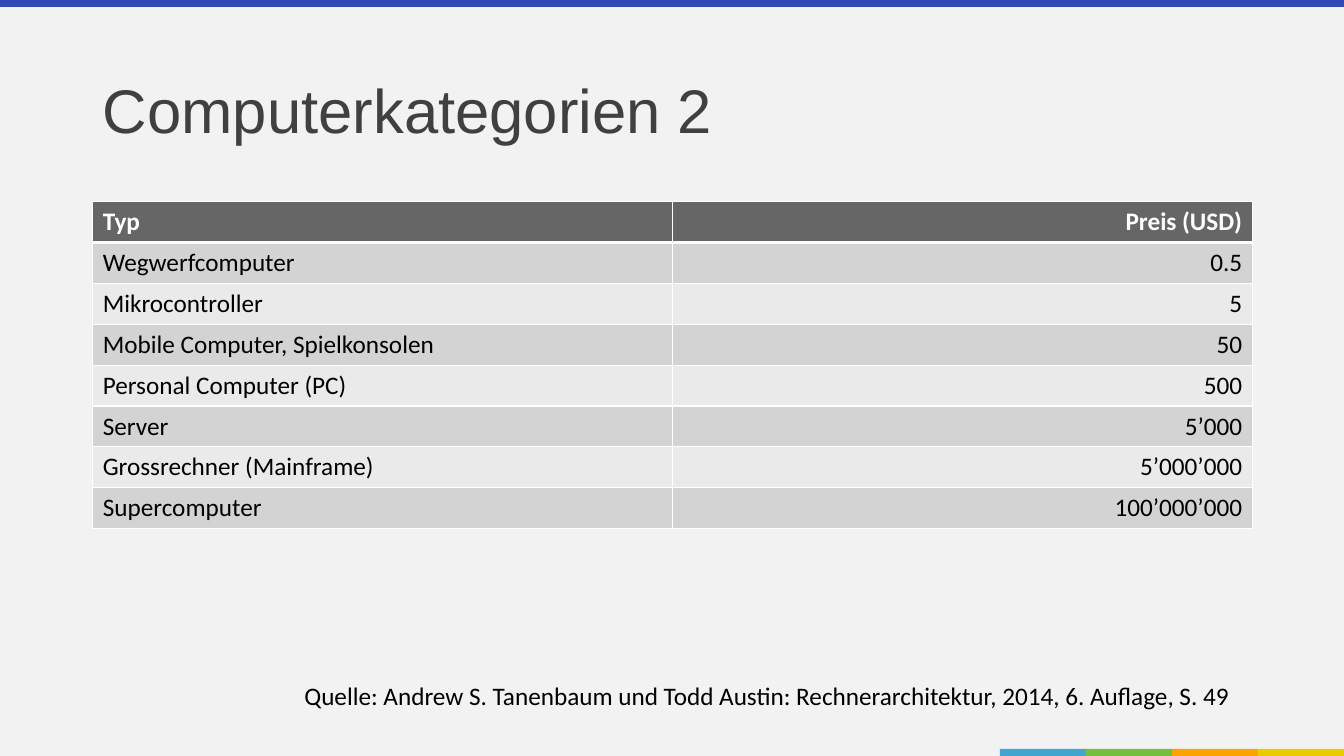
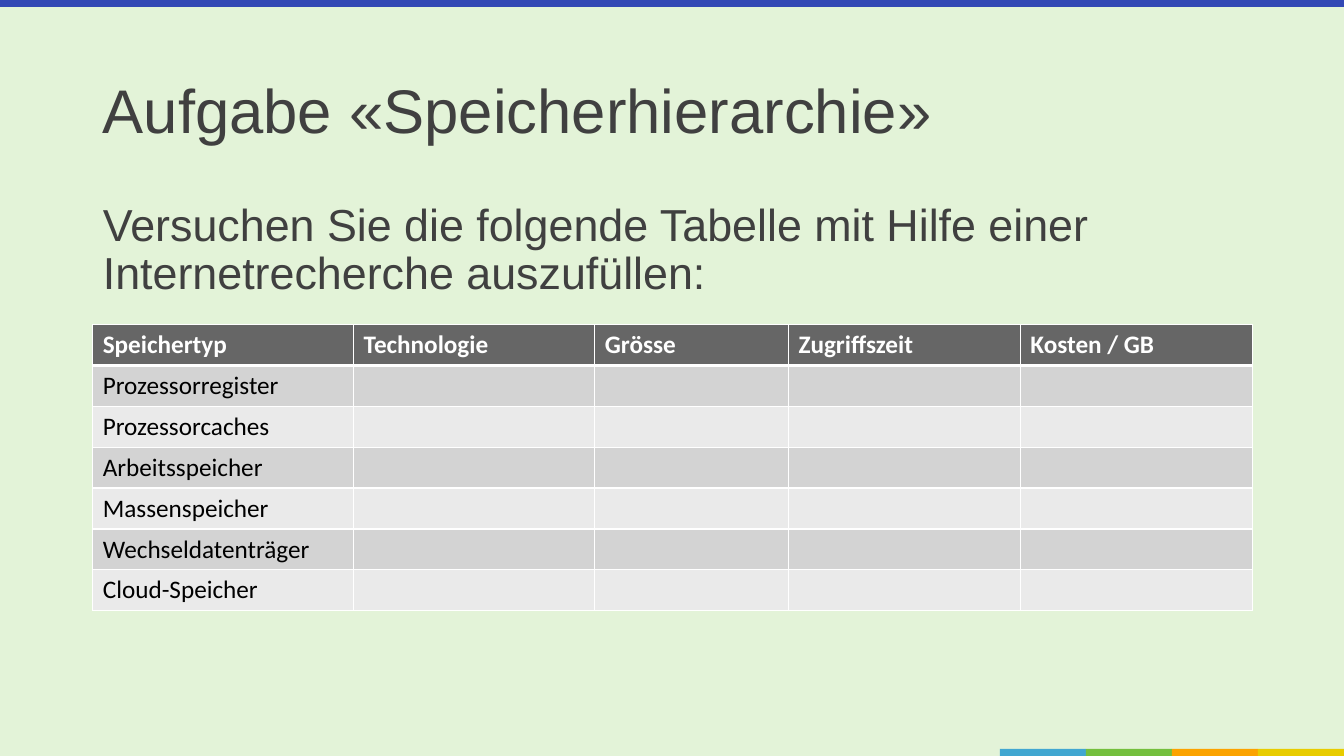
from dataclasses import dataclass

from lxml import etree
from pptx import Presentation
from pptx.dml.color import RGBColor
from pptx.enum.shapes import MSO_SHAPE
from pptx.enum.text import MSO_ANCHOR, MSO_AUTO_SIZE, PP_ALIGN
from pptx.oxml.ns import qn
from pptx.util import Inches, Pt

RECTANGLE = MSO_SHAPE.RECTANGLE
MIDDLE, TOP = MSO_ANCHOR.MIDDLE, MSO_ANCHOR.TOP
NO_AUTOFIT, GROW = MSO_AUTO_SIZE.NONE, MSO_AUTO_SIZE.SHAPE_TO_FIT_TEXT
LEFT, RIGHT = PP_ALIGN.LEFT, PP_ALIGN.RIGHT

SLIDE_WIDTH, SLIDE_HEIGHT = Inches(13.33), Inches(7.5)
MARGIN, CONTENT_WIDTH = Inches(0.92), Inches(11.5)
BAND_HEIGHT = Inches(0.07)
SEGMENT_SHARE = 0.064
ROW_HEIGHT = Inches(3.24 / 8)
TITLE_AND_BODY, TITLE_ONLY = 1, 5

HEADING_FONT, TABLE_FONT = "Arial", "Calibri"
GREY, WHITE, BLACK = "404040", "FFFFFF", "000000"
TOP_BAND = "3248B5"
SEGMENTS = ("41A7D1", "74BF3D", "FBA300", "E8CC00")
HEADER_FILL = "666666"
ROW_FILLS = ("D3D3D3", "EAEAEA")
THIN, THICK = 1, 3


@dataclass(frozen=True)
class Style:
    font: str
    size: int
    color: str
    bold: bool = False


@dataclass(frozen=True)
class TableContent:
    top: float
    column_shares: tuple[float, ...]
    alignments: tuple[PP_ALIGN, ...]
    rows: tuple[tuple[str, ...], ...]


TITLE_STYLE = Style(HEADING_FONT, 44, GREY)
BODY_STYLE = Style(HEADING_FONT, 32, GREY)
HEADER_STYLE = Style(TABLE_FONT, 18, WHITE, True)
CELL_STYLE = Style(TABLE_FONT, 18, BLACK)

PRICES = TableContent(2, (0.5, 0.5), (LEFT, RIGHT), (
    ("Typ", "Preis (USD)"),
    ("Wegwerfcomputer", "0.5"),
    ("Mikrocontroller", "5"),
    ("Mobile Computer, Spielkonsolen", "50"),
    ("Personal Computer (PC)", "500"),
    ("Server", "5’000"),
    ("Grossrechner (Mainframe)", "5’000’000"),
    ("Supercomputer", "100’000’000"),
))

MEMORY_TYPES = (
    "Prozessorregister", "Prozessorcaches", "Arbeitsspeicher",
    "Massenspeicher", "Wechseldatenträger", "Cloud-Speicher",
)
MEMORY = TableContent(3.22, (0.225, 0.208, 0.167, 0.2, 0.2), (LEFT,) * 5, (
    ("Speichertyp", "Technologie", "Grösse", "Zugriffszeit", "Kosten / GB"),
    *((memory_type, "", "", "", "") for memory_type in MEMORY_TYPES),
))


def rgb(value: str) -> RGBColor:
    return RGBColor.from_string(value)


def format_paragraph(paragraph, style: Style) -> None:
    for target in (paragraph, *paragraph.runs):
        target.font.name = style.font
        target.font.size = Pt(style.size)
        target.font.bold = style.bold
        target.font.color.rgb = rgb(style.color)


def add_band(slide, left: int, top: int, width: int, color: str) -> None:
    shape = slide.shapes.add_shape(RECTANGLE, left, top, width, BAND_HEIGHT)
    shape.shadow.inherit = False
    shape.fill.solid()
    shape.fill.fore_color.rgb = rgb(color)
    shape.line.fill.background()


def fill_placeholder(placeholder, text: str, top: float, height: float,
                     anchor: MSO_ANCHOR, style: Style):
    placeholder.left, placeholder.top = MARGIN, Inches(top)
    placeholder.width, placeholder.height = CONTENT_WIDTH, Inches(height)
    frame = placeholder.text_frame
    frame.text = text
    frame.auto_size = NO_AUTOFIT
    frame.vertical_anchor = anchor
    paragraph = frame.paragraphs[0]
    paragraph.alignment = LEFT
    paragraph.line_spacing = 0.9
    format_paragraph(paragraph, style)
    return paragraph


def add_slide(presentation, layout: int, title: str, background: str):
    slide = presentation.slides.add_slide(presentation.slide_layouts[layout])
    slide.background.fill.solid()
    slide.background.fill.fore_color.rgb = rgb(background)
    add_band(slide, 0, 0, SLIDE_WIDTH, TOP_BAND)
    segment_width = round(SLIDE_WIDTH * SEGMENT_SHARE)
    first_left = SLIDE_WIDTH - segment_width * len(SEGMENTS)
    for index, color in enumerate(SEGMENTS):
        add_band(slide, first_left + index * segment_width,
                 SLIDE_HEIGHT - BAND_HEIGHT, segment_width, color)
    fill_placeholder(slide.shapes.title, title, 0.4, 1.45, MIDDLE, TITLE_STYLE)
    return slide


def add_body(slide, text: str) -> None:
    paragraph = fill_placeholder(slide.placeholders[1], text, 1.96, 1.1, TOP, BODY_STYLE)
    paragraph.space_before = Pt(10)
    properties = paragraph._p.get_or_add_pPr()
    properties.set("marL", "0")
    properties.set("indent", "0")
    etree.SubElement(properties, qn("a:buNone"))


def set_borders(cell, top: int, bottom: int) -> None:
    properties = cell._tc.get_or_add_tcPr()
    widths = {"a:lnL": THIN, "a:lnR": THIN, "a:lnT": top, "a:lnB": bottom}
    for index, (tag, width) in enumerate(widths.items()):
        line = etree.Element(qn(tag), w=str(Pt(width)))
        fill = etree.SubElement(line, qn("a:solidFill"))
        etree.SubElement(fill, qn("a:srgbClr"), val=WHITE)
        properties.insert(index, line)


def add_table(slide, content: TableContent) -> None:
    row_count = len(content.rows)
    table = slide.shapes.add_table(
        row_count, len(content.column_shares), MARGIN, Inches(content.top),
        CONTENT_WIDTH, ROW_HEIGHT * row_count).table
    for column, share in zip(table.columns, content.column_shares):
        column.width = round(CONTENT_WIDTH * share)
    for row_index, texts in enumerate(content.rows):
        table.rows[row_index].height = ROW_HEIGHT
        is_header = row_index == 0
        color = HEADER_FILL if is_header else ROW_FILLS[(row_index - 1) % 2]
        for column_index, text in enumerate(texts):
            cell = table.cell(row_index, column_index)
            cell.text_frame.text = text
            cell.fill.solid()
            cell.fill.fore_color.rgb = rgb(color)
            paragraph = cell.text_frame.paragraphs[0]
            paragraph.alignment = content.alignments[column_index]
            format_paragraph(paragraph, HEADER_STYLE if is_header else CELL_STYLE)
            set_borders(cell, THICK if row_index == 1 else THIN,
                        THICK if is_header else THIN)


def add_citation(slide, text: str) -> None:
    box = slide.shapes.add_textbox(Inches(2.92), Inches(6.7), Inches(9.49), Inches(0.4))
    frame = box.text_frame
    frame.text = text
    frame.word_wrap = False
    frame.auto_size = GROW
    format_paragraph(frame.paragraphs[0], CELL_STYLE)


def main() -> None:
    presentation = Presentation()
    presentation.slide_width, presentation.slide_height = SLIDE_WIDTH, SLIDE_HEIGHT

    categories = add_slide(presentation, TITLE_ONLY, "Computerkategorien 2", "F2F2F2")
    add_table(categories, PRICES)
    add_citation(categories, "Quelle: Andrew S. Tanenbaum und Todd Austin: "
                             "Rechnerarchitektur, 2014, 6. Auflage, S. 49")

    exercise = add_slide(presentation, TITLE_AND_BODY,
                         "Aufgabe «Speicherhierarchie»", "E3F3D8")
    add_body(exercise, "Versuchen Sie die folgende Tabelle mit Hilfe einer "
                       "Internetrecherche auszufüllen:")
    add_table(exercise, MEMORY)

    presentation.save("out.pptx")


if __name__ == "__main__":
    main()
